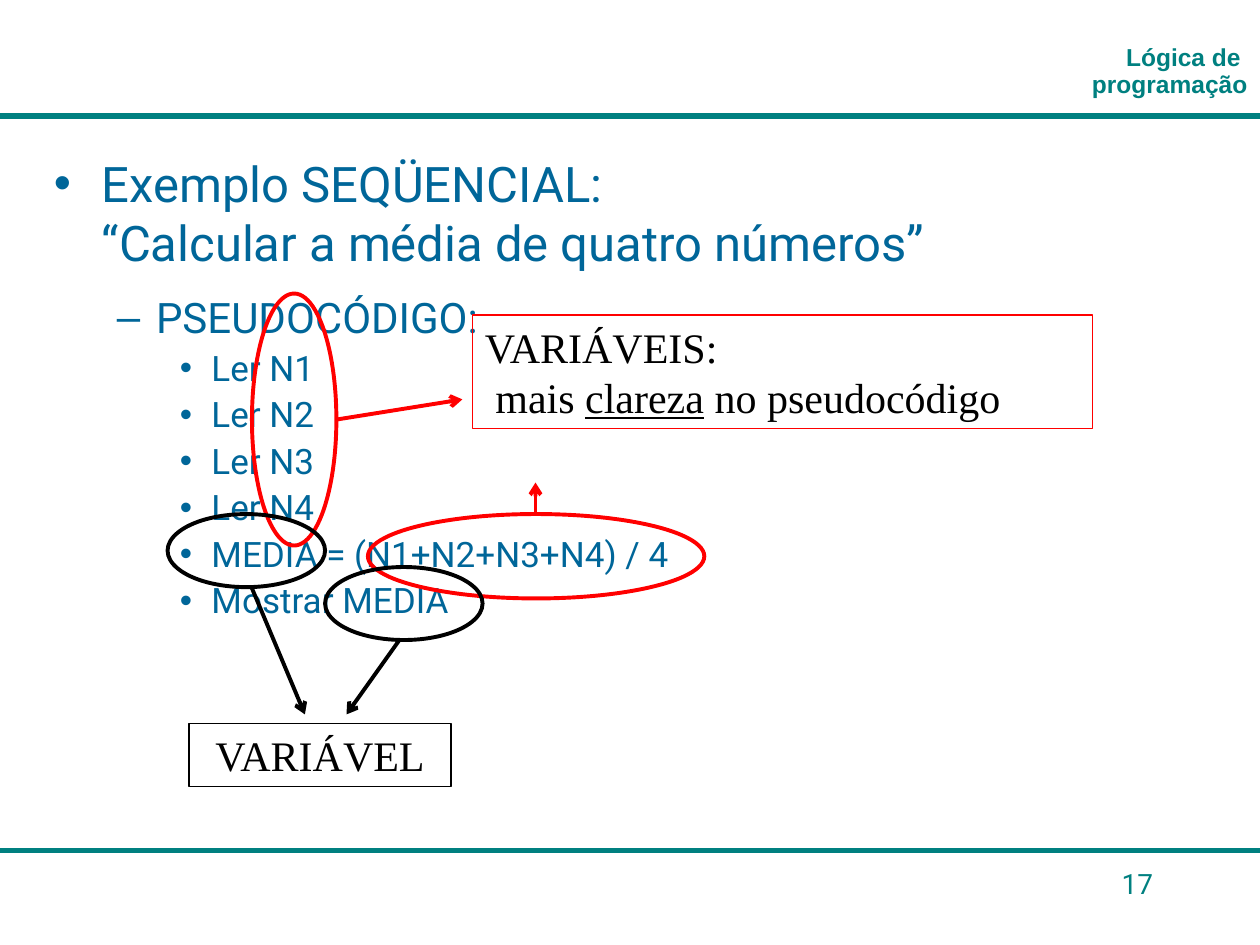
from dataclasses import dataclass

from lxml.etree import SubElement
from pptx import Presentation
from pptx.dml.color import RGBColor
from pptx.enum.shapes import MSO_CONNECTOR, MSO_SHAPE
from pptx.enum.text import MSO_ANCHOR, PP_ALIGN
from pptx.oxml.ns import qn
from pptx.util import Inches, Pt

TEAL, BLUE, RED, BLACK = "008080", "006699", "FF0000", "000000"


@dataclass(frozen=True)
class Level:
    """Paragraph format of one outline level."""
    bullet: str
    margin: float
    hanging: float
    size: int
    before: int
    spacing: float


@dataclass(frozen=True)
class Outline:
    """Unfilled shape that marks part of the slide."""
    kind: MSO_SHAPE
    box: tuple[float, float, float, float]
    color: str
    width: float = 2.25


@dataclass(frozen=True)
class Line:
    """Straight line between two points."""
    start: tuple[float, float]
    end: tuple[float, float]
    color: str
    width: float = 2.25
    arrow: bool = True


LEVELS = [
    Level("•", 0.38, 0.38, 28, 7, 1.0),
    Level("–", 0.81, 0.31, 24, 6, 1.2),
    Level("•", 1.25, 0.25, 20, 5, 0.9),
]
PSEUDOCODE = [
    (0, "Exemplo SEQÜENCIAL:\n“Calcular a média de quatro números”"),
    (1, "PSEUDOCÓDIGO:"),
    *[(2, f"Ler N{number}") for number in range(1, 5)],
    (2, "MEDIA = (N1+N2+N3+N4) / 4"),
    (2, "Mostrar MEDIA"),
]
RULES = [Line((0, y), (10, y), TEAL, 3, False) for y in (0.92, 6.75)]
INPUT_MARKS = [
    Outline(MSO_SHAPE.OVAL, (2, 2.33, 0.67, 2), RED),
    Outline(MSO_SHAPE.OVAL, (2.92, 4.08, 2.67, 0.67), RED),
]
INPUT_ARROWS = [
    Line((2.67, 3.33), (3.67, 3.17), RED),
    Line((4.25, 4.08), (4.25, 3.83), RED),
]
RESULT_MARKS = [
    Outline(MSO_SHAPE.OVAL, (1.33, 4.08, 1.25, 0.58), BLACK),
    Outline(MSO_SHAPE.OVAL, (2.58, 4.5, 1.25, 0.58), BLACK),
]
RESULT_ARROWS = [
    Line((3.17, 5.08), (2.75, 5.67), BLACK),
    Line((2, 4.67), (2.42, 5.67), BLACK),
]
INPUT_NOTE = Outline(MSO_SHAPE.RECTANGLE, (3.75, 2.5, 4.92, 0.9), RED, 0.75)
RESULT_NOTE = Outline(MSO_SHAPE.RECTANGLE, (1.5, 5.74, 2.08, 0.5), BLACK, 0.75)


def rgb(color: str) -> RGBColor:
    """Turn a hex string into a colour."""
    return RGBColor.from_string(color)


def add_text(paragraph, text: str, *, size: int, font: str, color: str, bold=False,
             underline=False, align=PP_ALIGN.LEFT, before=0, spacing=1.0) -> None:
    """Append text to a paragraph, with a line break at each newline."""
    paragraph.alignment = align
    paragraph.space_before = Pt(before)
    paragraph.line_spacing = spacing
    for index, line in enumerate(text.split("\n")):
        if index:
            paragraph.add_line_break()
        run = paragraph.add_run()
        run.text = line
        run.font.size = Pt(size)
        run.font.name = font
        run.font.bold = bold
        run.font.underline = underline
        run.font.color.rgb = rgb(color)


def add_box(shapes, *box: float, anchor=MSO_ANCHOR.TOP):
    """Add a wrapping text box and return its text frame."""
    frame = shapes.add_textbox(*map(Inches, box)).text_frame
    frame.word_wrap = True
    frame.vertical_anchor = anchor
    return frame


def add_outline(shapes, outline: Outline):
    """Draw an unfilled shape and return its text frame."""
    shape = shapes.add_shape(outline.kind, *map(Inches, outline.box))
    shape.shadow.inherit = False
    shape.fill.background()
    shape.line.color.rgb = rgb(outline.color)
    shape.line.width = Pt(outline.width)
    shape.text_frame.vertical_anchor = MSO_ANCHOR.TOP
    return shape.text_frame


def add_line(shapes, line: Line) -> None:
    """Draw a line, with an open arrowhead where asked."""
    connector = shapes.add_connector(
        MSO_CONNECTOR.STRAIGHT, *map(Inches, line.start + line.end))
    connector.line.color.rgb = rgb(line.color)
    connector.line.width = Pt(line.width)
    if line.arrow:
        SubElement(connector.line._get_or_add_ln(), qn("a:tailEnd"), type="arrow")
    SubElement(connector._element.spPr, qn("a:effectLst"))


def add_bullet(paragraph, level: Level) -> None:
    """Give a paragraph its hanging indent and bullet."""
    properties = paragraph._p.get_or_add_pPr()
    properties.set("marL", str(Inches(level.margin)))
    properties.set("indent", str(-Inches(level.hanging)))
    bullet_color = SubElement(properties, qn("a:buClr"))
    SubElement(bullet_color, qn("a:srgbClr"), val=BLUE)
    SubElement(properties, qn("a:buFont"), typeface="Arial")
    SubElement(properties, qn("a:buChar"), char=level.bullet)


def add_pseudocode(shapes) -> None:
    """Write the example and its pseudocode as an outline."""
    frame = add_box(shapes, 0.33, 1.17, 9.42, 6)
    for index, (depth, text) in enumerate(PSEUDOCODE):
        paragraph = frame.add_paragraph() if index else frame.paragraphs[0]
        level = LEVELS[depth]
        paragraph.level = depth
        add_text(paragraph, text, size=level.size, font="Roboto", color=BLUE,
                 before=level.before, spacing=level.spacing)
        add_bullet(paragraph, level)


def add_note(shapes, outline: Outline, *parts: tuple[str, bool],
             align=PP_ALIGN.LEFT) -> None:
    """Draw a framed note from pairs of text and underline."""
    frame = add_outline(shapes, outline)
    frame.word_wrap = True
    for text, underline in parts:
        add_text(frame.paragraphs[0], text, size=24, font="Times New Roman",
                 color=BLACK, underline=underline, align=align, before=15)


def main() -> None:
    """Build the slide and save it."""
    presentation = Presentation()
    presentation.slide_width, presentation.slide_height = Inches(10), Inches(7.5)
    slide = presentation.slides.add_slide(presentation.slide_layouts[6])
    for rule in RULES:
        add_line(slide.shapes, rule)
    add_pseudocode(slide.shapes)
    header = add_box(slide.shapes, 1.5, 0.25, 8.5, 0.58, anchor=MSO_ANCHOR.BOTTOM)
    add_text(header.paragraphs[0], "Lógica de \nprogramação", size=14, font="Arial",
             color=TEAL, bold=True, align=PP_ALIGN.RIGHT, spacing=0.9)

    inputs = slide.shapes.add_group_shape().shapes
    for mark in INPUT_MARKS:
        add_outline(inputs, mark)
    for arrow in INPUT_ARROWS:
        add_line(inputs, arrow)
    add_note(inputs, INPUT_NOTE, ("VARIÁVEIS:\n mais ", False), ("clareza", True),
             (" no pseudocódigo", False))

    results = slide.shapes.add_group_shape().shapes
    for mark in RESULT_MARKS:
        add_outline(results, mark)
    add_note(results, RESULT_NOTE, ("VARIÁVEL", False), align=PP_ALIGN.CENTER)
    for arrow in RESULT_ARROWS:
        add_line(results, arrow)

    number = add_box(slide.shapes, 8.33, 6.83, 0.92, 0.5)
    add_text(number.paragraphs[0], "17", size=16, font="Roboto", color=TEAL,
             align=PP_ALIGN.RIGHT)
    presentation.save("out.pptx")


if __name__ == "__main__":
    main()
